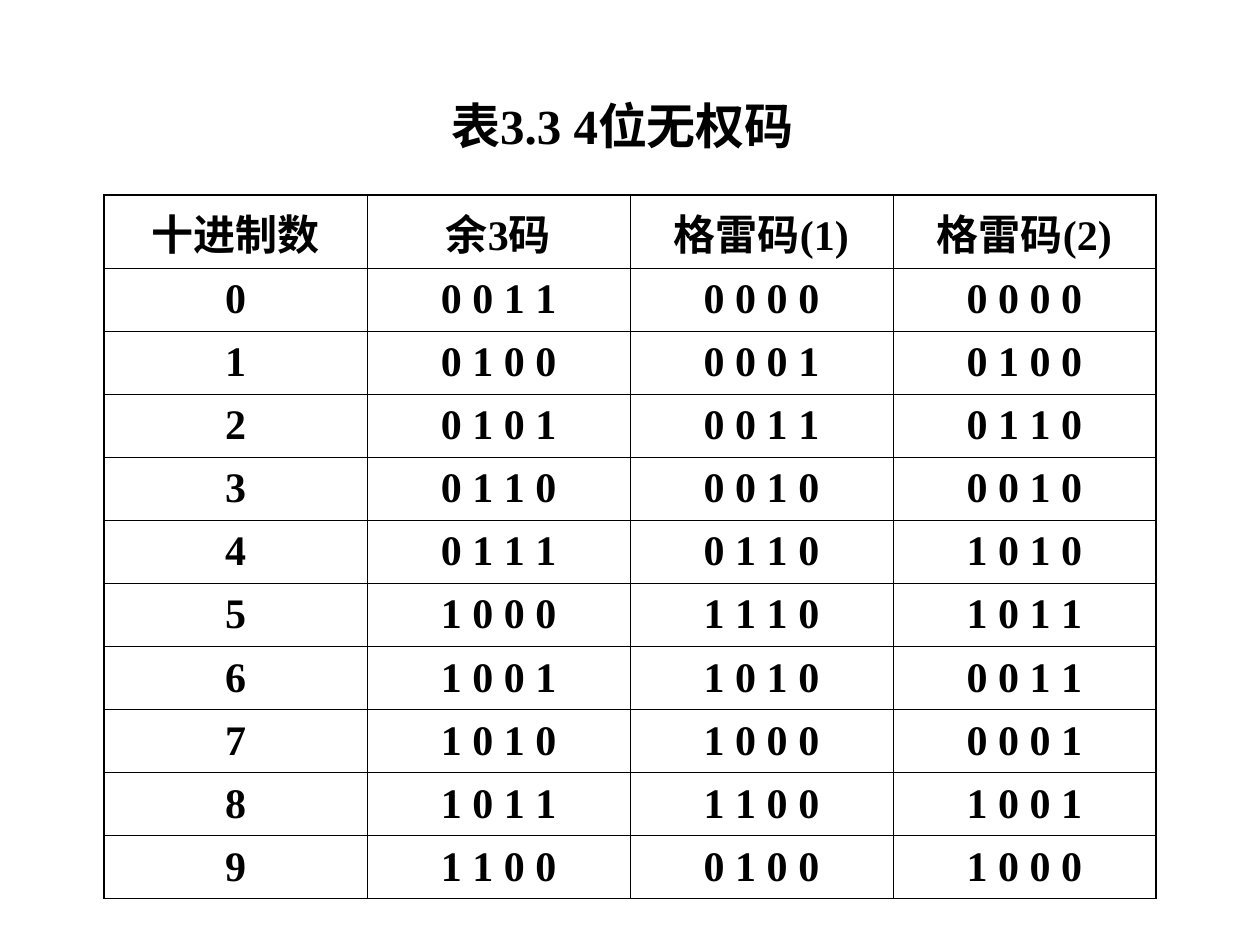
from lxml.etree import SubElement
from pptx import Presentation
from pptx.dml.color import RGBColor
from pptx.enum.lang import MSO_LANGUAGE_ID
from pptx.enum.text import MSO_ANCHOR, PP_ALIGN
from pptx.oxml.ns import qn
from pptx.util import Emu, Pt

SCALE = 914400 / 126
COLORS = {"ink": "000000"}
FONT = {"name": "Times New Roman", "bold": True,
        "language_id": MSO_LANGUAGE_ID.SIMPLIFIED_CHINESE}
OUTER, INNER = Pt(1.08), Pt(0.45)
HEADER_HEIGHT, BODY_HEIGHT = 73, 628


def px(length):
    return Emu(round(length * SCALE))


def write(paragraph, text, size):
    paragraph.alignment = PP_ALIGN.CENTER
    span = paragraph.add_run()
    span.text = text
    for name, value in {**FONT, "size": Pt(size)}.items():
        setattr(span.font, name, value)
    span.font.color.rgb = RGBColor.from_string(COLORS["ink"])


deck = Presentation()
deck.slide_width, deck.slide_height = px(1260), px(945)
page = deck.slides.add_slide(deck.slide_layouts[6])

# Title
box = page.shapes.add_textbox(px(45), px(96), px(1155), px(71))
box.text_frame.word_wrap = True
title = box.text_frame.paragraphs[0]
title.line_spacing = 0.9
write(title, "表3.3 4位无权码", 28)

# Code table: each code is written with a space between its bits
headers = ["十进制数", "余3码", "格雷码(1)", "格雷码(2)"]
excess_three = [f"{digit + 3:04b}" for digit in range(10)]
gray_one = "0000 0001 0011 0010 0110 1110 1010 1000 1100 0100".split()
gray_two = "0000 0100 0110 0010 1010 1011 0011 0001 1001 1000".split()
rows = [headers]
for digit, codes in enumerate(zip(excess_three, gray_one, gray_two)):
    rows.append([str(digit), *(" ".join(code) for code in codes)])

last_row, last_column = len(rows) - 1, len(headers) - 1
table = page.shapes.add_table(len(rows), len(headers), px(104), px(195),
                              px(1052), px(HEADER_HEIGHT + BODY_HEIGHT)).table
table.first_row = table.horz_banding = False
for r, row in enumerate(table.rows):
    row.height = px(BODY_HEIGHT / last_row if r else HEADER_HEIGHT)

for r, texts in enumerate(rows):
    for c, text in enumerate(texts):
        cell = table.cell(r, c)
        cell.vertical_anchor = MSO_ANCHOR.MIDDLE
        write(cell.text_frame.paragraphs[0], text, 24)

        # Borders: heavier around the outside
        properties = cell._tc.get_or_add_tcPr()
        on_edge = {"a:lnL": c == 0, "a:lnR": c == last_column,
                   "a:lnT": r == 0, "a:lnB": r == last_row}
        for side, outside in on_edge.items():
            line = SubElement(properties, qn(side), w=str(OUTER if outside else INNER))
            fill = SubElement(line, qn("a:solidFill"))
            SubElement(fill, qn("a:srgbClr"), val=COLORS["ink"])
        cell.fill.background()

deck.save("out.pptx")
